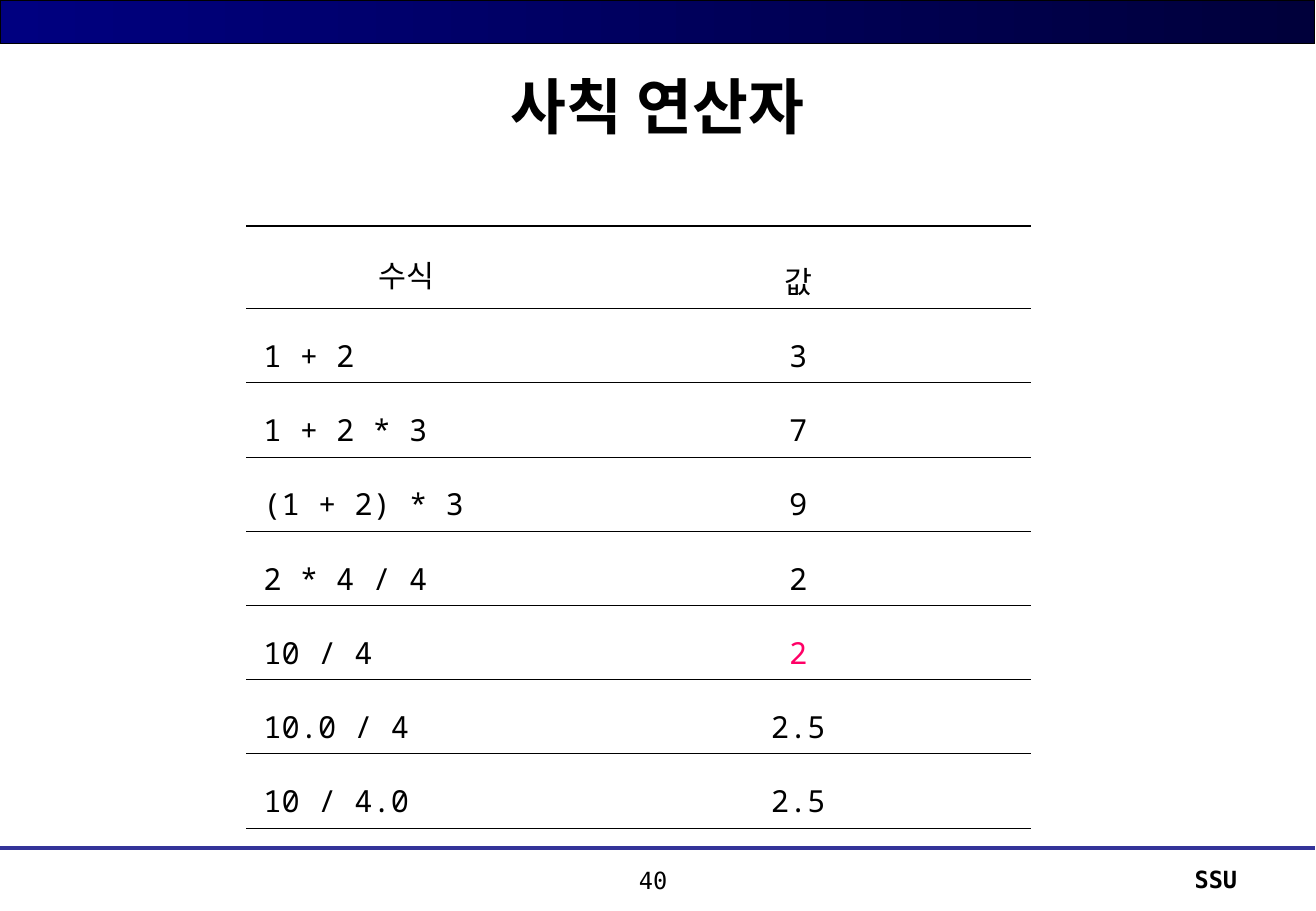
from dataclasses import dataclass

import pptx
import pptx.dml.color
import pptx.enum.shapes
import pptx.enum.text
import pptx.oxml
import pptx.oxml.ns
import pptx.util
from pptx.util import Inches

COLORS = {
    "ink": "000000",
    "bar_start": "000080",
    "bar_end": "00003B",
    "rule": "333399",
    "highlight": "FF0066",
}
MONO = "DejaVu Sans Mono"
TABLE_FONT = "Noto Sans Mono"
ALIGN = pptx.enum.text.PP_ALIGN
MIDDLE = pptx.enum.text.MSO_ANCHOR.MIDDLE
HEADER_BORDER = 0.85
BODY_BORDER = 0.11


@dataclass
class Expression:
    formula: str
    value: str
    color: str = "ink"


@dataclass
class FooterText:
    text: str
    left: float
    top: float
    width: float
    align: ALIGN
    bold: bool = False


EXPRESSIONS = [
    Expression("1 + 2", "3"),
    Expression("1 + 2 * 3", "7"),
    Expression("(1 + 2) * 3", "9"),
    Expression("2 * 4 / 4", "2"),
    Expression("10 / 4", "2", "highlight"),
    Expression("10.0 / 4", "2.5"),
    Expression("10 / 4.0", "2.5"),
]
FOOTERS = [
    FooterText("SSU", 7.7, 7.07, 2.59, ALIGN.RIGHT, True),
    FooterText("40", 4.65, 7.08, 1.46, ALIGN.CENTER),
]


def rgb(name: str) -> pptx.dml.color.RGBColor:
    return pptx.dml.color.RGBColor.from_string(COLORS[name])


def write(frame, text: str, size: float, font_name: str, align: ALIGN,
          color: str = "ink", bold: bool = False):
    frame.text = text
    paragraph = frame.paragraphs[0]
    paragraph.alignment = align
    font = paragraph.runs[0].font
    font.size = pptx.util.Pt(size)
    font.name = font_name
    font.bold = bold
    font.color.rgb = rgb(color)
    return paragraph


def set_borders(cell, top: float, bottom: float) -> None:
    properties = cell._tc.get_or_add_tcPr()
    namespace = pptx.oxml.ns.nsdecls("a")
    for side, width in (("L", 0), ("R", 0), ("T", top), ("B", bottom)):
        paint = (f'<a:solidFill><a:srgbClr val="{COLORS["ink"]}"/></a:solidFill>'
                 if width else "<a:noFill/>")
        properties.append(pptx.oxml.parse_xml(
            f'<a:ln{side} {namespace} w="{int(pptx.util.Pt(width))}">{paint}</a:ln{side}>'))


def fill_cell(cell, text: str, align: ALIGN, spacing: float, top: float,
              bottom: float, color: str = "ink"):
    cell.margin_left = cell.margin_right = Inches(0.02)
    cell.margin_top = cell.margin_bottom = Inches(0.05)
    cell.vertical_anchor = MIDDLE
    set_borders(cell, top, bottom)
    cell.fill.background()
    paragraph = write(cell.text_frame, text, 18, TABLE_FONT, align, color)
    paragraph.line_spacing = spacing
    return paragraph


def add_frame(slide) -> None:
    bar = slide.shapes.add_shape(pptx.enum.shapes.MSO_SHAPE.RECTANGLE,
                                 0, 0, Inches(10.83), Inches(0.36))
    bar.shadow.inherit = False
    bar.fill.gradient()
    bar.fill.gradient_angle = 0
    for stop, name in zip(bar.fill.gradient_stops, ("bar_start", "bar_end")):
        stop.color.rgb = rgb(name)
    bar.line.color.rgb = rgb("ink")
    bar.line.width = pptx.util.Pt(0.75)

    rule = slide.shapes.add_connector(pptx.enum.shapes.MSO_CONNECTOR.STRAIGHT,
                                      0, Inches(6.98), Inches(10.83), Inches(6.98))
    rule.line.color.rgb = rgb("rule")
    rule.line.width = pptx.util.Pt(2.5)
    rule._element.spPr.append(pptx.oxml.parse_xml(
        f'<a:effectLst {pptx.oxml.ns.nsdecls("a")}/>'))


def add_title(slide) -> None:
    title = slide.shapes.title
    title.left, title.top = Inches(0.54), Inches(0.36)
    title.width, title.height = Inches(9.75), Inches(1.01)
    write(title.text_frame, "사칙 연산자", 36, MONO, ALIGN.CENTER, bold=True)
    title.text_frame.vertical_anchor = MIDDLE


def add_expressions(slide) -> None:
    table = slide.shapes.add_table(len(EXPRESSIONS) + 1, 2, Inches(2.03),
                                   Inches(1.86), Inches(6.46), Inches(3.95)).table
    table.first_row = table.horz_banding = False
    for column, width in zip(table.columns, (2.63, 3.83)):
        column.width = Inches(width)
    for index, row in enumerate(table.rows):
        row.height = Inches(0.49 if index else 0.52)
    for column, (label, spacing) in enumerate((("수식", 1.3), ("값", 1.6))):
        fill_cell(table.cell(0, column), label, ALIGN.CENTER, spacing,
                  HEADER_BORDER, HEADER_BORDER)
    for row, expression in enumerate(EXPRESSIONS, start=1):
        top = HEADER_BORDER if row == 1 else BODY_BORDER
        formula = fill_cell(table.cell(row, 0), expression.formula,
                            ALIGN.JUSTIFY, 1.5, top, BODY_BORDER)
        formula._p.get_or_add_pPr().set("marL", str(Inches(0.12)))
        fill_cell(table.cell(row, 1), expression.value, ALIGN.CENTER, 1.5,
                  top, BODY_BORDER, expression.color)


def add_footer(slide, footer: FooterText) -> None:
    box = slide.shapes.add_textbox(Inches(footer.left), Inches(footer.top),
                                   Inches(footer.width), Inches(0.37))
    box.text_frame.word_wrap = True
    write(box.text_frame, footer.text, 14, MONO, footer.align, bold=footer.bold)


def main() -> None:
    deck = pptx.Presentation()
    deck.slide_width, deck.slide_height = Inches(10.84), Inches(7.5)
    slide = deck.slides.add_slide(deck.slide_layouts[5])
    add_frame(slide)
    add_title(slide)
    add_expressions(slide)
    for footer in FOOTERS:
        add_footer(slide, footer)
    deck.save("out.pptx")


if __name__ == "__main__":
    main()
